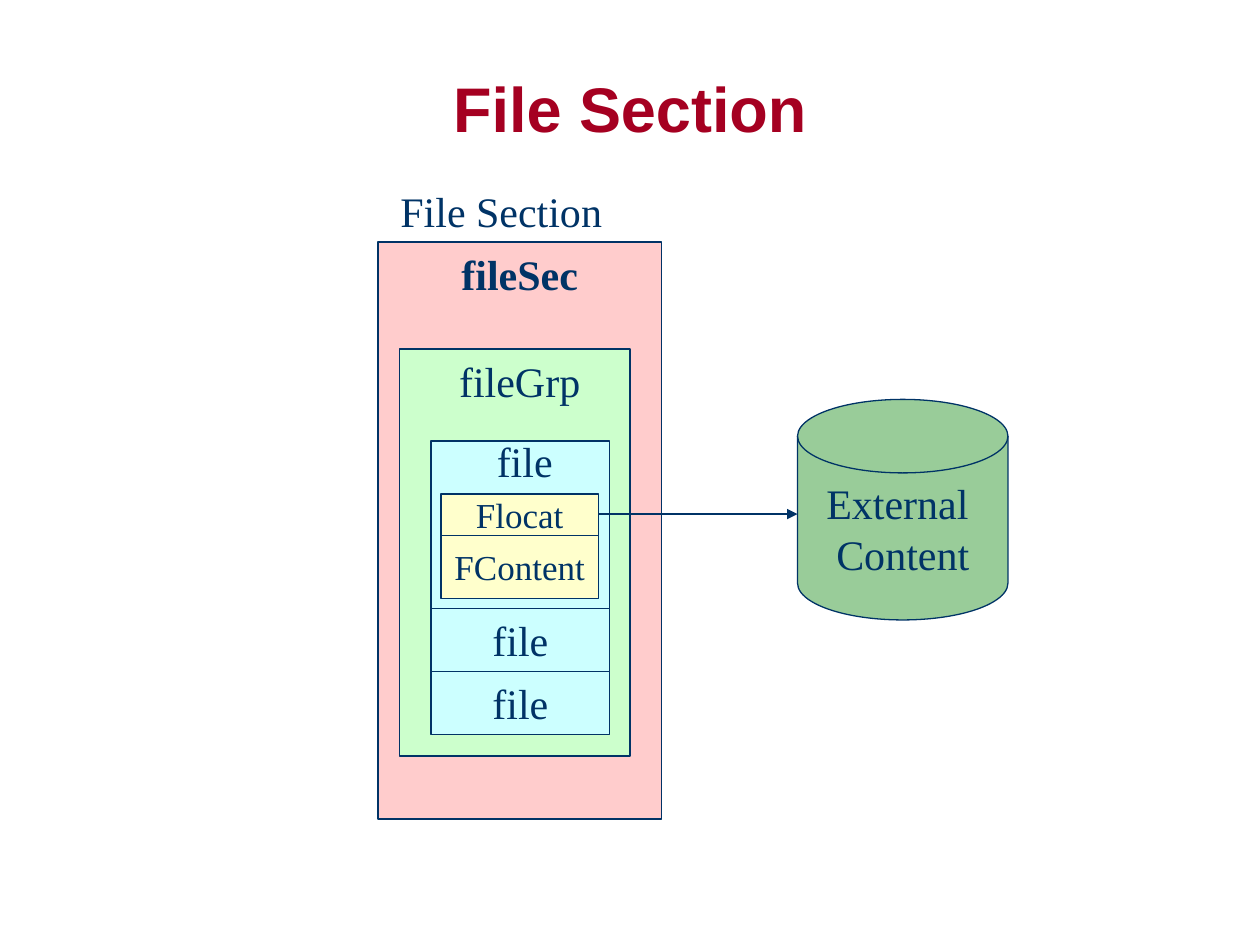
from dataclasses import dataclass

from lxml.etree import SubElement
from pptx import Presentation
from pptx.dml.color import RGBColor
from pptx.enum.shapes import MSO_CONNECTOR, MSO_SHAPE
from pptx.enum.text import MSO_ANCHOR, PP_ALIGN
from pptx.oxml.ns import qn
from pptx.util import Inches, Pt


@dataclass(frozen=True)
class Theme:
    ink: RGBColor = RGBColor(0x00, 0x33, 0x66)
    heading: RGBColor = RGBColor(0xA5, 0x00, 0x21)
    section_fill: RGBColor = RGBColor(0xFF, 0xCC, 0xCC)
    group_fill: RGBColor = RGBColor(0xCC, 0xFF, 0xCC)
    file_fill: RGBColor = RGBColor(0xCC, 0xFF, 0xFF)
    element_fill: RGBColor = RGBColor(0xFF, 0xFF, 0xCC)
    store_fill: RGBColor = RGBColor(0x99, 0xCC, 0x99)
    title_font: str = "Arial"
    body_font: str = "Times New Roman"
    title_size: int = 36
    label_size: int = 24
    element_size: int = 20
    line_width: float = 0.75


THEME = Theme()


def font_format(size, bold=False, name=THEME.body_font, color=THEME.ink):
    return {"size": Pt(size), "bold": bold, "name": name, "color": color}


LABEL = font_format(THEME.label_size)
BOLD_LABEL = font_format(THEME.label_size, bold=True)
ELEMENT = font_format(THEME.element_size)
TITLE = font_format(THEME.title_size, True, THEME.title_font, THEME.heading)


def write(frame, lines, style, align=PP_ALIGN.CENTER,
          anchor=MSO_ANCHOR.TOP, wrap=True):
    frame.word_wrap = wrap
    frame.vertical_anchor = anchor
    for index, line in enumerate(lines):
        paragraph = frame.paragraphs[0] if index == 0 else frame.add_paragraph()
        paragraph.alignment = align
        paragraph.space_before = Pt(0)
        run = paragraph.add_run()
        run.text = line
        for attribute, value in style.items():
            if attribute == "color":
                run.font.color.rgb = value
            else:
                setattr(run.font, attribute, value)


def set_title(slide, text, box):
    title = slide.shapes.title
    for side, length in zip(("left", "top", "width", "height"), box):
        setattr(title, side, Inches(length))
    write(title.text_frame, [text], TITLE)


def add_caption(slide, text, box, style=LABEL, **options):
    caption = slide.shapes.add_textbox(*map(Inches, box))
    write(caption.text_frame, [text], style, **options)


def add_block(slide, box, fill, lines=(), style=LABEL, kind=MSO_SHAPE.RECTANGLE):
    block = slide.shapes.add_shape(kind, *map(Inches, box))
    block.shadow.inherit = False
    block.fill.solid()
    block.fill.fore_color.rgb = fill
    block.line.color.rgb = THEME.ink
    block.line.width = Pt(THEME.line_width)
    write(block.text_frame, lines, style, anchor=MSO_ANCHOR.MIDDLE, wrap=False)


def add_arrow(slide, start, end):
    arrow = slide.shapes.add_connector(
        MSO_CONNECTOR.STRAIGHT, *map(Inches, start + end))
    arrow.line.color.rgb = THEME.ink
    arrow.line.width = Pt(THEME.line_width)
    properties = arrow._element.spPr
    SubElement(properties.find(qn("a:ln")), qn("a:tailEnd"), type="triangle")
    SubElement(properties, qn("a:effectLst"))


def main():
    deck = Presentation()
    deck.slide_width, deck.slide_height = Inches(10), Inches(7.5)
    slide = deck.slides.add_slide(deck.slide_layouts[5])
    set_title(slide, "File Section", (0, 0.5, 10, 0.7))

    # External store
    add_block(slide, (6.33, 3.17, 1.67, 1.75), THEME.store_fill,
              ["External ", "Content"], kind=MSO_SHAPE.FLOWCHART_MAGNETIC_DISK)

    # Nested containers with their captions
    add_caption(slide, "File Section", (3.08, 1.42, 1.8, 0.5),
                align=PP_ALIGN.LEFT, wrap=False)
    add_block(slide, (3, 1.92, 2.25, 4.58), THEME.section_fill)
    add_caption(slide, "fileSec", (3, 1.92, 2.25, 0.5), BOLD_LABEL)
    add_block(slide, (3.17, 2.77, 1.83, 3.23), THEME.group_fill)
    add_caption(slide, "fileGrp", (3.25, 2.77, 1.75, 0.5))
    add_block(slide, (3.42, 3.5, 1.42, 1.33), THEME.file_fill)
    add_caption(slide, "file", (3.5, 3.41, 1.33, 0.5))

    # Elements of the first file
    for element, top, height in (("Flocat", 3.92, 0.33), ("FContent", 4.25, 0.5)):
        add_block(slide, (3.5, top, 1.25, height), THEME.element_fill,
                  [element], ELEMENT)

    # Further files
    for row in range(2):
        add_block(slide, (3.42, 4.83 + 0.5 * row, 1.42, 0.5),
                  THEME.file_fill, ["file"])

    # Link from the location to the store
    add_arrow(slide, (4.75, 4.08), (6.33, 4.08))

    deck.save("out.pptx")


if __name__ == "__main__":
    main()
